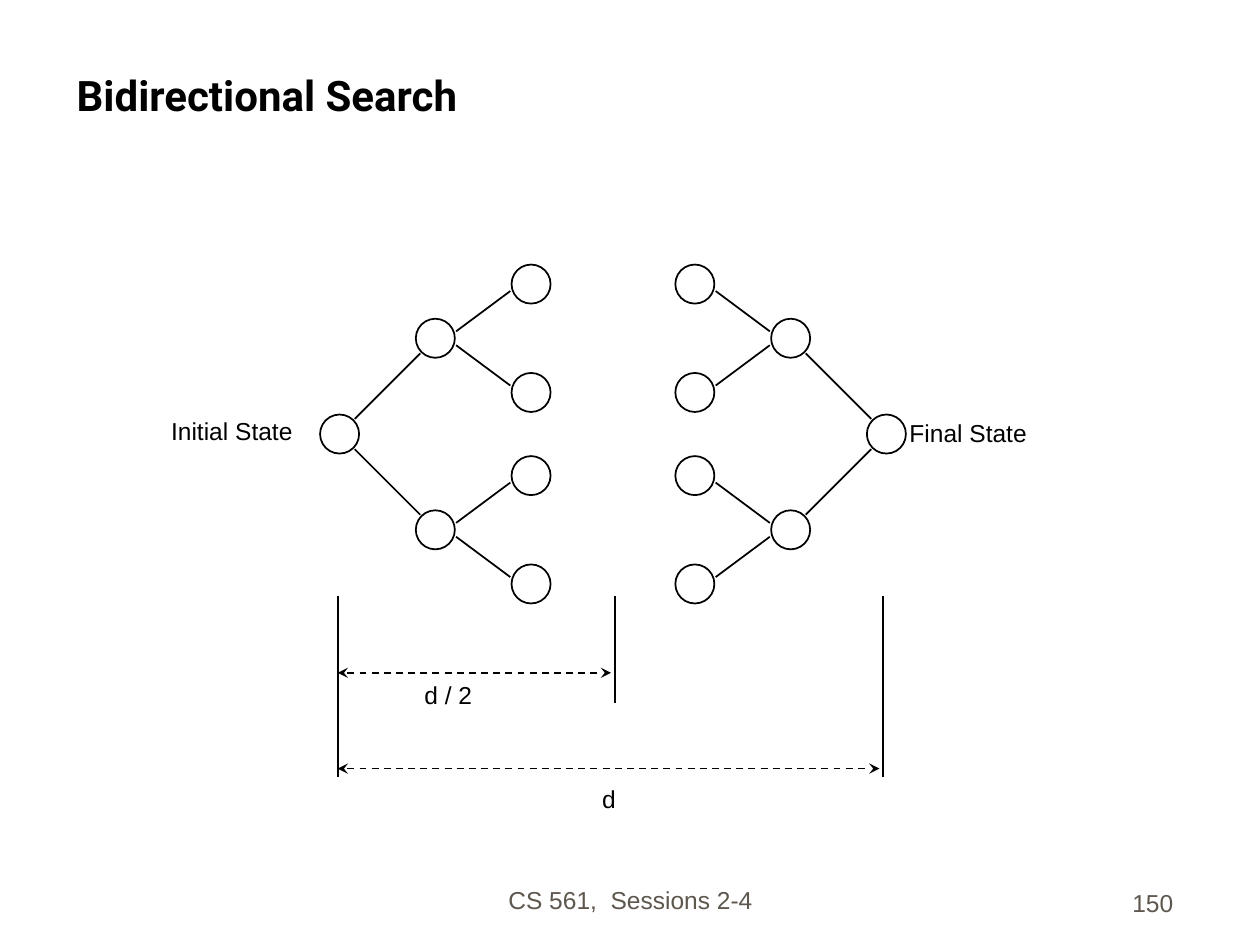
from dataclasses import dataclass

from lxml import etree
from pptx import Presentation
from pptx.dml.color import RGBColor
from pptx.enum.dml import MSO_LINE
from pptx.enum.shapes import MSO_CONNECTOR, MSO_SHAPE
from pptx.enum.text import MSO_ANCHOR, PP_ALIGN
from pptx.oxml.ns import qn
from pptx.util import Inches, Pt

STRAIGHT, OVAL, DASH = MSO_CONNECTOR.STRAIGHT, MSO_SHAPE.OVAL, MSO_LINE.DASH
TOP, BOTTOM = MSO_ANCHOR.TOP, MSO_ANCHOR.BOTTOM
LEFT, CENTER, RIGHT = PP_ALIGN.LEFT, PP_ALIGN.CENTER, PP_ALIGN.RIGHT


@dataclass(frozen=True)
class Theme:
    ink: RGBColor = RGBColor(0x00, 0x00, 0x00)
    muted: RGBColor = RGBColor(0x5E, 0x57, 0x4E)
    title_font: str = "Roboto"
    body_font: str = "Arial"
    title_size: Pt = Pt(24)
    body_size: Pt = Pt(14)
    line_width: Pt = Pt(1)


theme = Theme()
presentation = Presentation()
presentation.slide_width, presentation.slide_height = Inches(10), Inches(7.5)
slide = presentation.slides.add_slide(presentation.slide_layouts[6])


def add_line(x1, y1, x2, y2, measure=False):
    """Draw a plain line, or a dashed one with arrowheads at both ends."""
    line = slide.shapes.add_connector(
        STRAIGHT, Inches(x1), Inches(y1), Inches(x2), Inches(y2))
    line.line.color.rgb = theme.ink
    line.line.width = theme.line_width
    if measure:
        line.line.dash_style = DASH
        outline = line.line._get_or_add_ln()
        for end in ("a:headEnd", "a:tailEnd"):
            etree.SubElement(outline, qn(end), type="stealth")
    etree.SubElement(line._element.spPr, qn("a:effectLst"))


def add_text(text, box, anchor=TOP, align=LEFT, color=theme.ink,
             font=theme.body_font, size=theme.body_size, bold=False):
    shape = slide.shapes.add_textbox(*[Inches(value) for value in box])
    frame = shape.text_frame
    frame.word_wrap = True
    frame.vertical_anchor = anchor
    paragraph = frame.paragraphs[0]
    paragraph.alignment = align
    run = paragraph.add_run()
    run.text = text
    run.font.name, run.font.size, run.font.bold = font, size, bold
    run.font.color.rgb = color


# Title and footer
add_text("Bidirectional Search", (0.51, 0.25, 8.92, 0.75), BOTTOM,
         font=theme.title_font, size=theme.title_size, bold=True)
add_text("CS 561,  Sessions 2-4", (3.42, 6.81, 3.17, 0.5), BOTTOM, CENTER, theme.muted)
add_text("150", (7.33, 6.83, 2.08, 0.5), BOTTOM, RIGHT, theme.muted)

# Two mirrored search trees: (column, y) of each node centre
node_size = 0.31
level_gap = 0.76
root_y = 3.445
leaf_rise = 0.43
nodes = [(0, root_y)]
edges = []  # parent column and y, child y, gap in x, gap in y
for side in (-1, 1):
    middle_y = root_y + side * level_gap
    nodes.append((1, middle_y))
    edges.append((0, root_y, middle_y, 0.12, side * 0.12))
    for branch in (-1, 1):
        leaf_y = middle_y + branch * leaf_rise
        nodes.append((2, leaf_y))
        edges.append((1, middle_y, leaf_y, 0.165, branch * 0.055))

for root_x, direction in ((2.695, 1), (7.035, -1)):
    step = direction * level_gap
    for column, y in nodes:
        node = slide.shapes.add_shape(
            OVAL, Inches(root_x + column * step - node_size / 2),
            Inches(y - node_size / 2), Inches(node_size), Inches(node_size))
        node.shadow.inherit = False
        node.fill.background()
        node.line.color.rgb = theme.ink
        node.line.width = theme.line_width
    for column, parent_y, child_y, gap_x, gap_y in edges:
        parent_x = root_x + column * step
        add_line(parent_x + direction * gap_x, parent_y + gap_y,
                 parent_x + step - direction * gap_x, child_y - gap_y)

# Depth measures
for x, bottom in ((2.68, 6.17), (4.88, 5.58), (7.01, 6.17)):
    add_line(x, 4.73, x, bottom)
for right, y in ((4.85, 5.34), (6.98, 6.1)):
    add_line(2.68, y, right, y, measure=True)

# Labels
for text, box in (
    ("d", (4.68, 6.17, 0.31, 0.33)),
    ("d / 2", (3.27, 5.35, 0.58, 0.33)),
    ("Initial State", (1.26, 3.25, 3.36, 0.33)),
    ("Final State", (7.12, 3.27, 1.13, 0.33)),
):
    add_text(text, box)

presentation.save("out.pptx")
